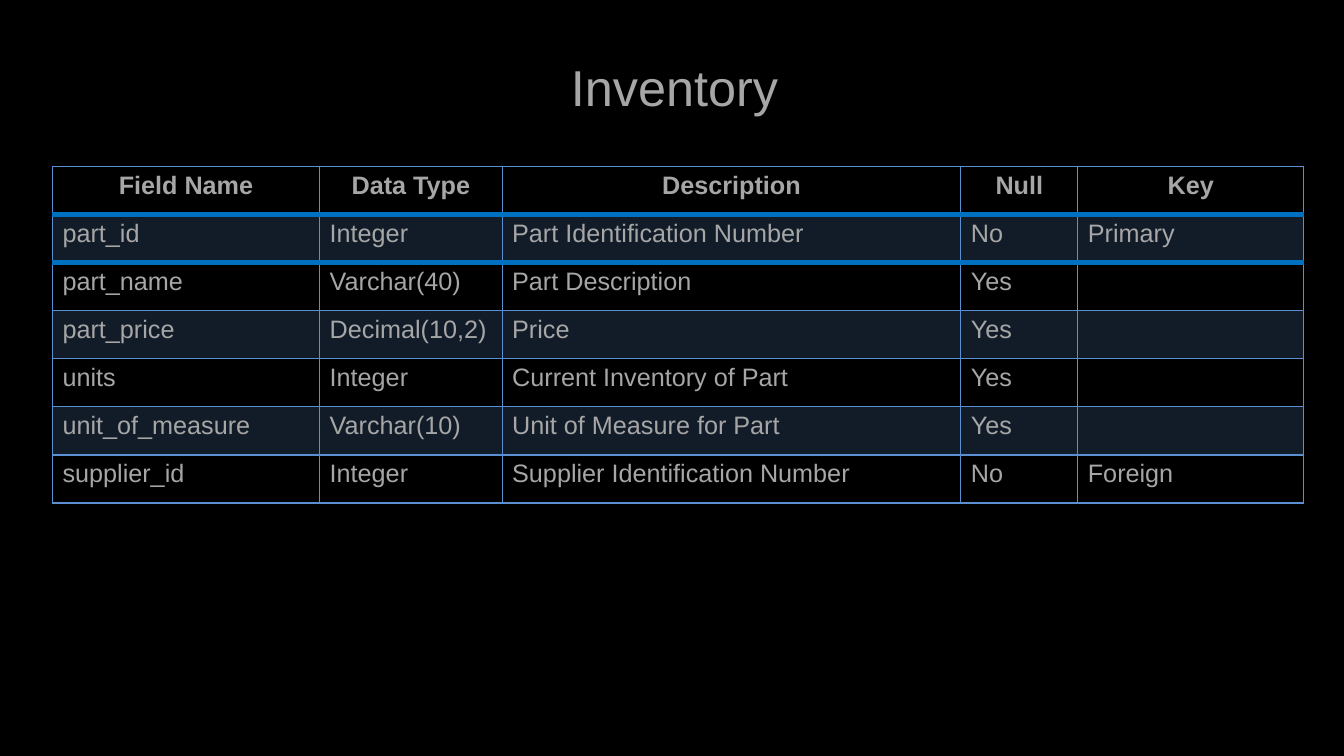
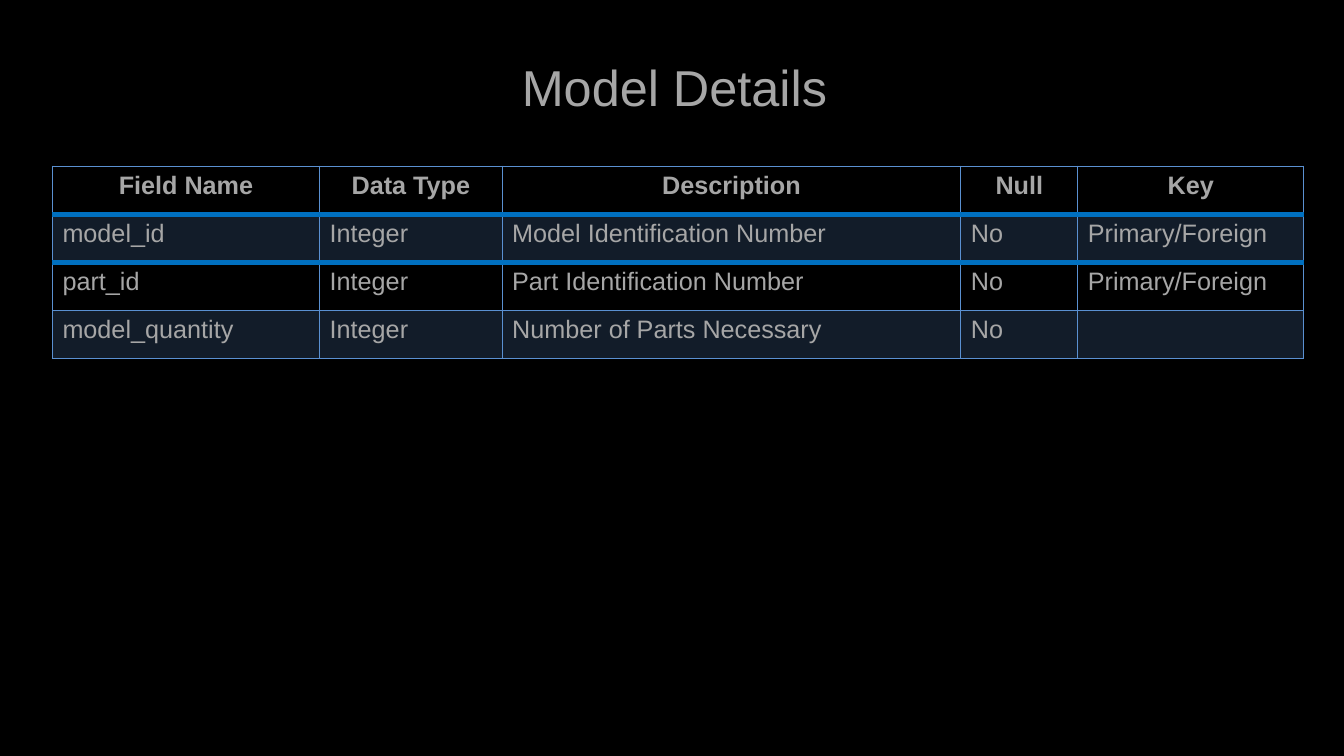
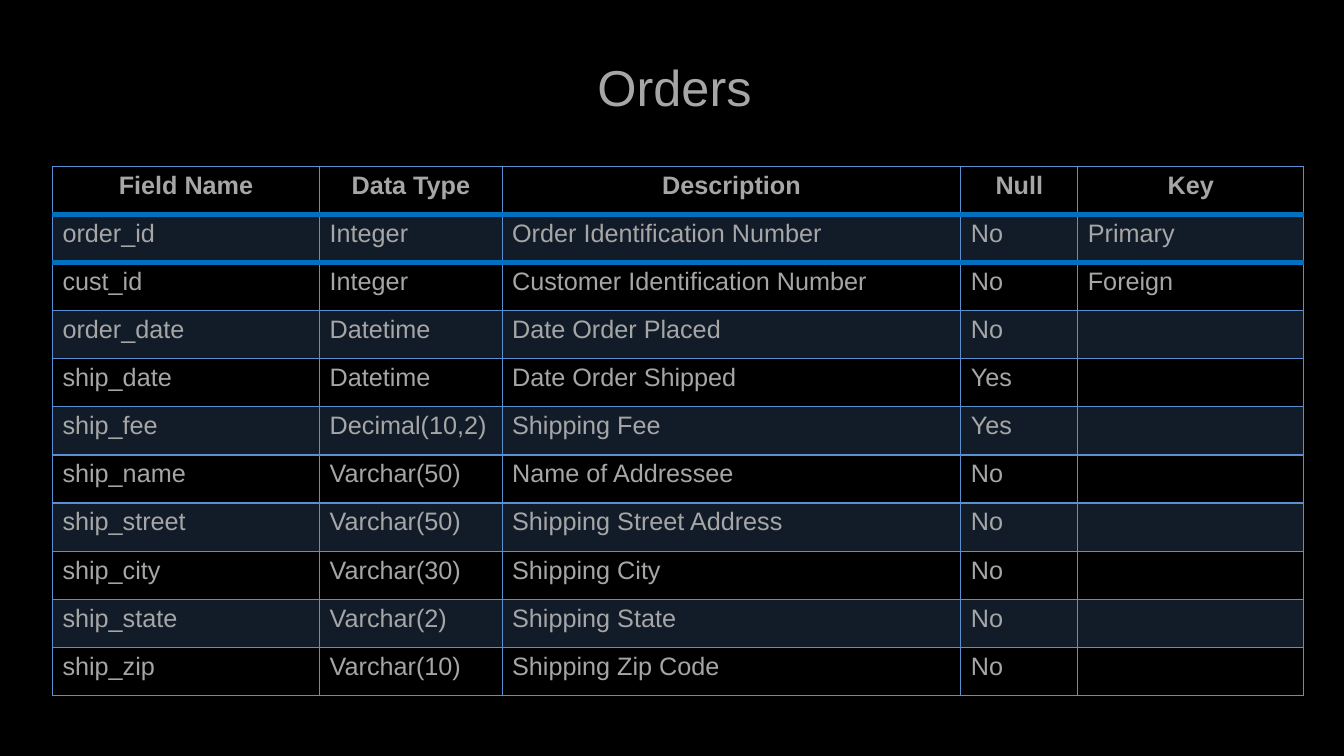
import dataclasses

import pptx
import pptx.dml.color
import pptx.enum.text
import pptx.oxml
import pptx.oxml.ns
import pptx.presentation
import pptx.slide
import pptx.table
import pptx.text.text
import pptx.util
from pptx.util import Inches

FONT = "Arial"
BACKGROUND = "000000"
TEXT = "A6A6A6"
GRID = "5A90D1"
ACCENT = "0070C0"
BAND_OPACITY = 20

TABLE_LEFT, TABLE_TOP = 0.52, 1.65
ROW_HEIGHT = 5.25 / 11
COLUMN_WIDTHS = (2.65, 1.81, 4.55, 1.16, 2.24)
HEADERS = ("Field Name", "Data Type", "Description", "Null", "Key")
NO_STYLE_ID = "{2D5ABB26-0587-4C30-8999-92F81FD0307C}"


@dataclasses.dataclass(frozen=True)
class Field:
    name: str
    data_type: str
    description: str
    null: str
    key: str = ""


@dataclasses.dataclass(frozen=True)
class Entity:
    title: str
    fields: tuple[Field, ...]


@dataclasses.dataclass(frozen=True)
class Border:
    color: str
    points: float


THIN = Border(GRID, 1)
THICK = Border(ACCENT, 4.5)

ENTITIES = (
    Entity("Inventory", (
        Field("part_id", "Integer", "Part Identification Number", "No", "Primary"),
        Field("part_name", "Varchar(40)", "Part Description", "Yes"),
        Field("part_price", "Decimal(10,2)", "Price", "Yes"),
        Field("units", "Integer", "Current Inventory of Part", "Yes"),
        Field("unit_of_measure", "Varchar(10)", "Unit of Measure for Part", "Yes"),
        Field("supplier_id", "Integer", "Supplier Identification Number", "No", "Foreign"),
    )),
    Entity("Model Details", (
        Field("model_id", "Integer", "Model Identification Number", "No", "Primary/Foreign"),
        Field("part_id", "Integer", "Part Identification Number", "No", "Primary/Foreign"),
        Field("model_quantity", "Integer", "Number of Parts Necessary", "No"),
    )),
    Entity("Orders", (
        Field("order_id", "Integer", "Order Identification Number", "No", "Primary"),
        Field("cust_id", "Integer", "Customer Identification Number", "No", "Foreign"),
        Field("order_date", "Datetime", "Date Order Placed", "No"),
        Field("ship_date", "Datetime", "Date Order Shipped", "Yes"),
        Field("ship_fee", "Decimal(10,2)", "Shipping Fee", "Yes"),
        Field("ship_name", "Varchar(50)", "Name of Addressee", "No"),
        Field("ship_street", "Varchar(50)", "Shipping Street Address", "No"),
        Field("ship_city", "Varchar(30)", "Shipping City", "No"),
        Field("ship_state", "Varchar(2)", "Shipping State", "No"),
        Field("ship_zip", "Varchar(10)", "Shipping Zip Code", "No"),
    )),
)


def rgb(color: str) -> pptx.dml.color.RGBColor:
    return pptx.dml.color.RGBColor.from_string(color)


def write_text(text_frame: pptx.text.text.TextFrame, text: str, size: int,
               bold: bool = False, centered: bool = False) -> None:
    text_frame.text = text
    paragraph = text_frame.paragraphs[0]
    if centered:
        paragraph.alignment = pptx.enum.text.PP_ALIGN.CENTER
    for run in paragraph.runs:
        run.font.name = FONT
        run.font.size = pptx.util.Pt(size)
        run.font.bold = bold
        run.font.color.rgb = rgb(TEXT)


def set_borders(cell: pptx.table._Cell, top: Border, bottom: Border) -> None:
    """Draw thin sides and the given top and bottom; call before filling the cell."""
    properties = cell._tc.get_or_add_tcPr()
    for side, border in (("L", THIN), ("R", THIN), ("T", top), ("B", bottom)):
        properties.append(pptx.oxml.parse_xml(
            f'<a:ln{side} {pptx.oxml.ns.nsdecls("a")} w="{pptx.util.Pt(border.points)}">'
            f'<a:solidFill><a:srgbClr val="{border.color}"/></a:solidFill></a:ln{side}>'))


def fill_band(cell: pptx.table._Cell) -> None:
    cell.fill.solid()
    cell.fill.fore_color.rgb = rgb(GRID)
    color = cell._tc.tcPr.find(
        f'{pptx.oxml.ns.qn("a:solidFill")}/{pptx.oxml.ns.qn("a:srgbClr")}')
    color.append(pptx.oxml.parse_xml(
        f'<a:alpha {pptx.oxml.ns.nsdecls("a")} val="{BAND_OPACITY * 1000}"/>'))


def add_title(slide: pptx.slide.Slide, title: str) -> None:
    text_box = slide.shapes.add_textbox(Inches(1.99), Inches(0.51), Inches(9.4), Inches(0.71))
    text_box.text_frame.word_wrap = True
    text_box.text_frame.auto_size = pptx.enum.text.MSO_AUTO_SIZE.SHAPE_TO_FIT_TEXT
    write_text(text_box.text_frame, title, 36, centered=True)


def add_field_table(slide: pptx.slide.Slide, fields: tuple[Field, ...]) -> None:
    rows = [HEADERS, *(dataclasses.astuple(field) for field in fields)]
    table = slide.shapes.add_table(
        len(rows), len(HEADERS), Inches(TABLE_LEFT), Inches(TABLE_TOP),
        Inches(sum(COLUMN_WIDTHS)), Inches(ROW_HEIGHT * len(rows))).table
    table._tbl.tblPr.find(pptx.oxml.ns.qn("a:tableStyleId")).text = NO_STYLE_ID
    table.first_row = table.horz_banding = False
    for column, width in zip(table.columns, COLUMN_WIDTHS):
        column.width = Inches(width)
    for row_index, values in enumerate(rows):
        table.rows[row_index].height = Inches(ROW_HEIGHT)
        is_header = row_index == 0
        # Thick rules enclose the first field row.
        top = THICK if row_index in (1, 2) else THIN
        bottom = THICK if row_index in (0, 1) else THIN
        for column_index, value in enumerate(values):
            cell = table.cell(row_index, column_index)
            write_text(cell.text_frame, value, 18, bold=is_header, centered=is_header)
            set_borders(cell, top, bottom)
            if row_index % 2:
                fill_band(cell)
            else:
                cell.fill.background()


def add_entity_slide(presentation: pptx.presentation.Presentation, entity: Entity) -> None:
    slide = presentation.slides.add_slide(presentation.slide_layouts[6])
    add_field_table(slide, entity.fields)
    add_title(slide, entity.title)


def main() -> None:
    presentation = pptx.Presentation()
    presentation.slide_width = Inches(13.33)
    presentation.slide_height = Inches(7.5)
    background = presentation.slide_master.background.fill
    background.solid()
    background.fore_color.rgb = rgb(BACKGROUND)
    for entity in ENTITIES:
        add_entity_slide(presentation, entity)
    presentation.save("out.pptx")


if __name__ == "__main__":
    main()
